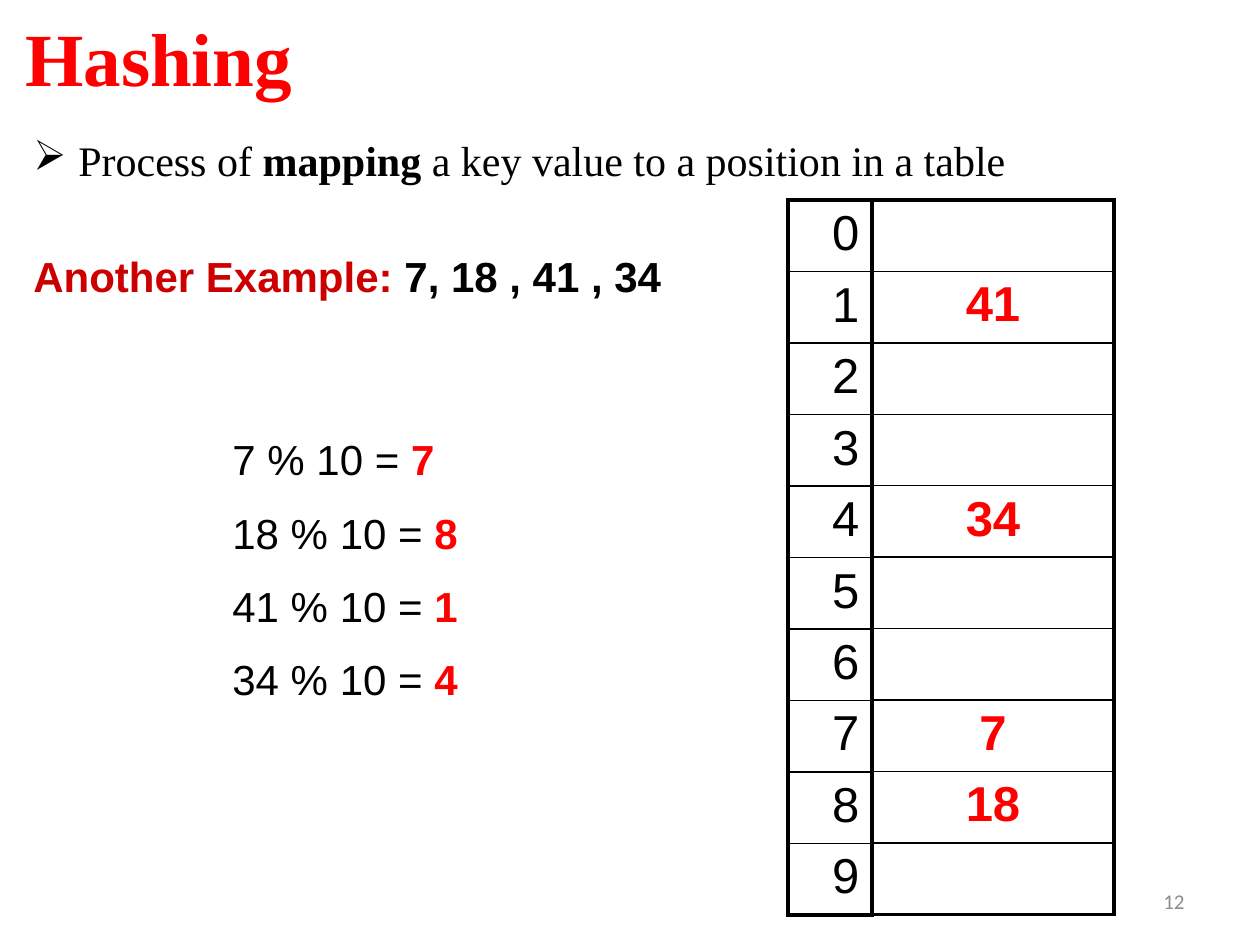
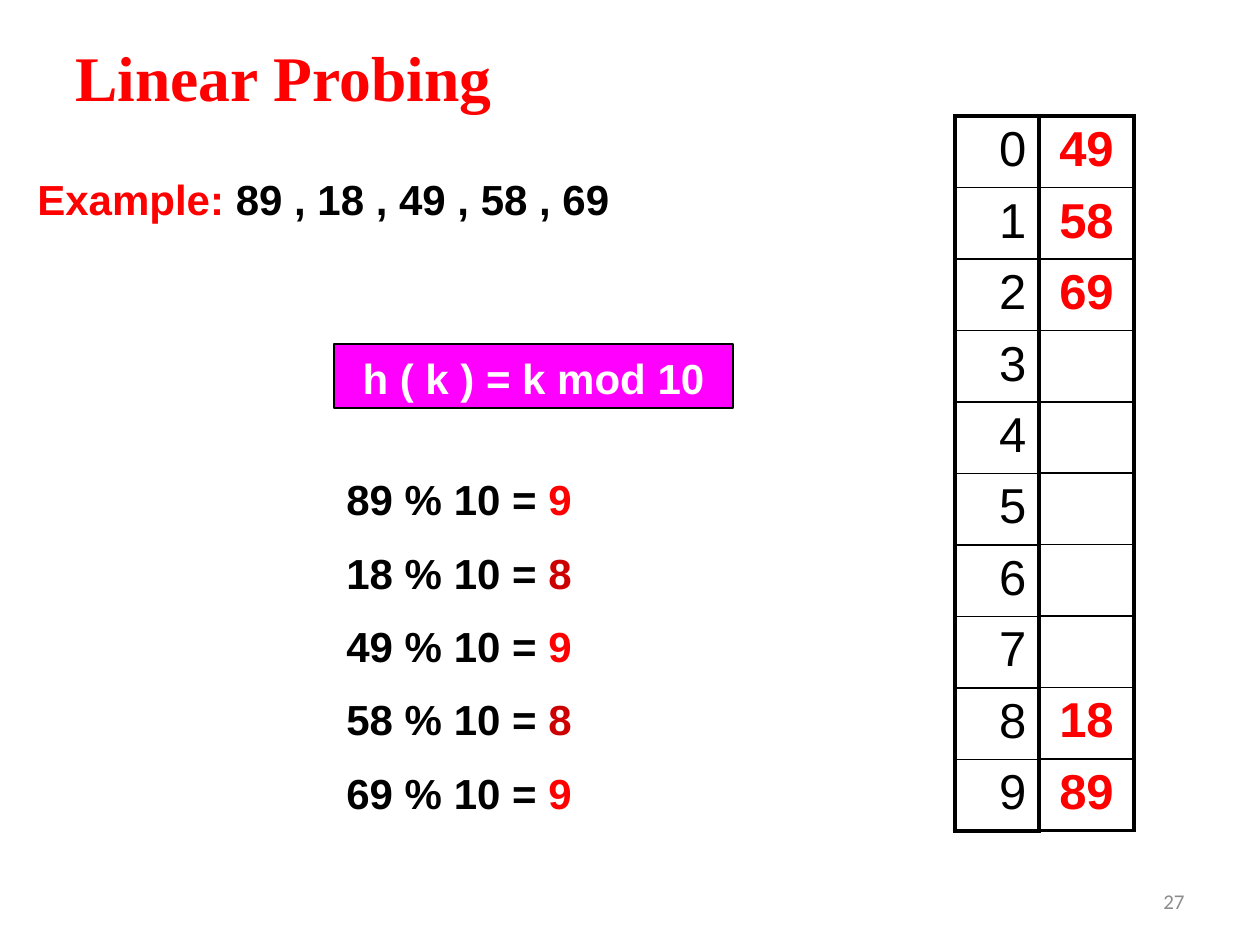
from dataclasses import dataclass

from lxml import etree
from pptx import Presentation
from pptx.dml.color import RGBColor
from pptx.enum import shapes, text
from pptx.oxml import ns
from pptx.util import Emu, Pt

PX = 914400 // 126


@dataclass(frozen=True)
class Theme:
    red: str = "FF0000"
    dark: str = "CC0000"
    black: str = "000000"
    white: str = "FFFFFF"
    gray: str = "8C8C8C"
    pink: str = "FF00FF"
    sans: str = "Arial"
    serif: str = "Times New Roman"
    small: str = "Calibri"
    body: float = 24
    cell: float = 28
    note: float = 12
    gap: float = 13.1
    thick: float = 2.25
    thin: float = 1


T = Theme()
LEFT, MID, RIGHT = text.PP_ALIGN.LEFT, text.PP_ALIGN.CENTER, text.PP_ALIGN.RIGHT
SIZE = (1260, 945)
FOOT = (903, 876, 294, 50)
SLOTS = 10
TALL = 714
KEYS = 84

SLIDES = [
    {
        "title": ("Hashing", 42.9, (13, 8, 1134, 97)),
        "point": (["Process of ", "mapping", " a key value to a position in a table"],
                  (21, 126, 1176, 63)),
        "case": ("Another Example:", " 7, 18 , 41 , 34", T.dark, (21, 242, 892, 63)),
        "sums": [(7, 7, T.red), (18, 8, T.red), (41, 1, T.red), (34, 4, T.red)],
        "bold": False,
        "place": (220, 425, 274, 290),
        "hash": {1: 41, 4: 34, 7: 7, 8: 18},
        "grid": (788, 200, 242),
        "page": "12",
    },
    {
        "title": ("Linear Probing", 36.3, (63, 38, 1134, 77)),
        "case": ("Example: ", "89 , 18 , 49 , 58 , 69", T.red, (25, 165, 648, 63)),
        "rule": ("h ( k ) = k mod 10", (334, 344, 399, 64)),
        "sums": [(89, 9, T.red), (18, 8, T.dark), (49, 9, T.red),
                 (58, 8, T.dark), (69, 9, T.red)],
        "bold": True,
        "place": (334, 465, 274, 365),
        "hash": {0: 49, 1: 58, 2: 69, 8: 18, 9: 89},
        "grid": (955, 116, 95),
        "page": "27",
    },
]


def px(n):
    return Emu(n * PX)


def style(font, size, color, bold=False, face=T.sans):
    font.name, font.size, font.bold = face, Pt(size), bold
    font.color.rgb = RGBColor.from_string(color)


def spans(para, parts, face=T.sans):
    for words, color, bold in parts:
        run = para.add_run()
        run.text = words
        style(run.font, T.body, color, bold, face)


def frame(shape, top=9):
    tf = shape.text_frame
    tf.word_wrap = True
    tf.margin_top = px(top)
    tf.vertical_anchor = text.MSO_ANCHOR.TOP
    return tf


def box(slide, at):
    return frame(slide.shapes.add_textbox(*map(px, at)))


def label(slide, words, at, size, color, bold, face, align=LEFT):
    tf = frame(slide.shapes.add_textbox(*map(px, at)), 6)
    tf.vertical_anchor = text.MSO_ANCHOR.MIDDLE
    tf.text = words
    para = tf.paragraphs[0]
    para.alignment = align
    style(para.runs[0].font, size, color, bold, face)


def point(slide, words, at):
    para = box(slide, at).paragraphs[0]
    prop = para._p.get_or_add_pPr()
    prop.set("marL", str(px(45)))
    prop.set("indent", str(-px(45)))
    etree.SubElement(prop, ns.qn("a:buChar")).set("char", "➢")
    spans(para, [(w, T.black, i == 1) for i, w in enumerate(words)], T.serif)


def case(slide, head, keys, color, at):
    spans(box(slide, at).paragraphs[0],
          [(head, color, True), (keys, T.black, True)])


def rule(slide, words, at):
    shape = slide.shapes.add_shape(shapes.MSO_SHAPE.RECTANGLE, *map(px, at))
    shape.shadow.inherit = False
    shape.fill.solid()
    shape.fill.fore_color.rgb = RGBColor.from_string(T.pink)
    shape.line.color.rgb = RGBColor.from_string(T.black)
    shape.line.width = Pt(0.75)
    tf = frame(shape)
    tf.text = words
    tf.paragraphs[0].alignment = MID
    style(tf.paragraphs[0].runs[0].font, T.body, T.white, True)


def sums(slide, rows, bold, at):
    tf = box(slide, at)
    for i, (key, slot, color) in enumerate(rows):
        para = tf.add_paragraph() if i else tf.paragraphs[0]
        if i:
            para.space_before = Pt(T.gap)
        spans(para, [(f"{key} % 10 = ", T.black, bold), (str(slot), color, True)])


def edge(cell, side, width):
    line = etree.SubElement(cell._tc.get_or_add_tcPr(), ns.qn("a:ln" + side))
    line.set("w", str(Pt(width)))
    fill = etree.SubElement(line, ns.qn("a:solidFill"))
    etree.SubElement(fill, ns.qn("a:srgbClr")).set("val", T.black)


def column(slide, vals, at, align, color, bold):
    table = slide.shapes.add_table(SLOTS, 1, *map(px, at)).table
    table.first_row = table.horz_banding = False
    for i, val in enumerate(vals):
        table.rows[i].height = px(TALL) // SLOTS
        cell = table.cell(i, 0)
        edge(cell, "L", T.thick)
        edge(cell, "R", T.thick)
        edge(cell, "T", T.thin if i else T.thick)
        edge(cell, "B", T.thin if i < SLOTS - 1 else T.thick)
        cell.fill.background()
        cell.text = str(val)
        para = cell.text_frame.paragraphs[0]
        para.alignment = align
        for run in para.runs:
            style(run.font, T.cell, color, bold)


def grid(slide, held, left, top, wide):
    vals = [held.get(i, "") for i in range(SLOTS)]
    column(slide, vals, (left + KEYS, top, wide, TALL), MID, T.red, True)
    column(slide, range(SLOTS), (left, top, KEYS, TALL), RIGHT, T.black, False)


def build(deck, item):
    slide = deck.slides.add_slide(deck.slide_layouts[6])
    if "point" in item:
        point(slide, *item["point"])
    case(slide, *item["case"])
    if "rule" in item:
        rule(slide, *item["rule"])
    sums(slide, item["sums"], item["bold"], item["place"])
    grid(slide, item["hash"], *item["grid"])
    title, size, at = item["title"]
    label(slide, title, at, size, T.red, True, T.serif)
    label(slide, item["page"], FOOT, T.note, T.gray, False, T.small, RIGHT)


def main():
    deck = Presentation()
    deck.slide_width, deck.slide_height = map(px, SIZE)
    for item in SLIDES:
        build(deck, item)
    deck.save("out.pptx")


if __name__ == "__main__":
    main()
